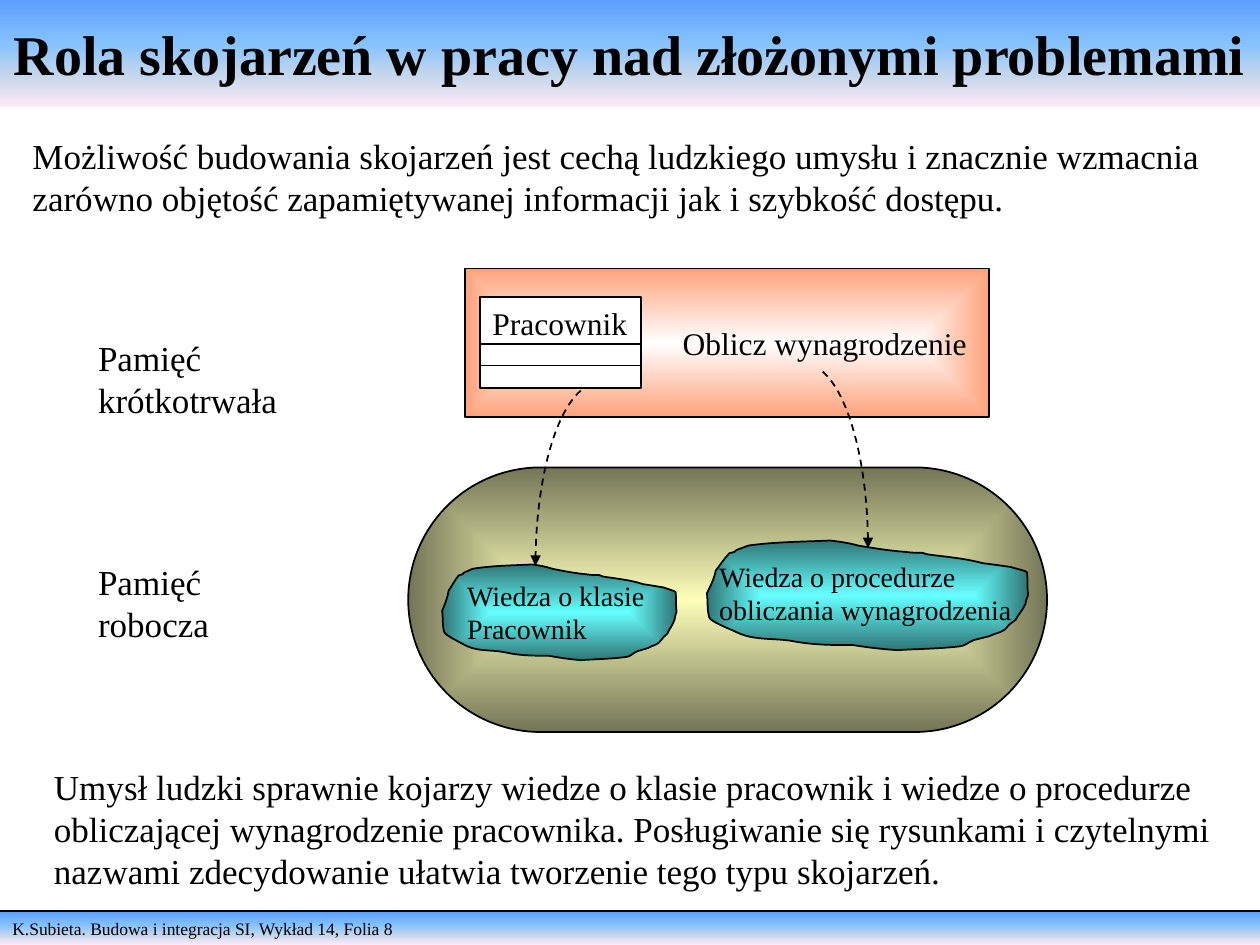
import pptx
import pptx.util
import pptx.dml.color
import pptx.enum.dml
import pptx.enum.shapes
import pptx.enum.text
import pptx.oxml.ns
from lxml import etree

Inches = pptx.util.Inches
qn = pptx.oxml.ns.qn
SHAPE = pptx.enum.shapes.MSO_SHAPE

COLORS = {
    "ink": "000000", "white": "FFFFFF",
    "sky": "5E9EFF", "light_sky": "85C2FF", "mist": "C4D6EB", "pink": "FFEBFA",
    "salmon": "FFA27C", "cream": "FCFEB9", "olive": "747556",
    "cyan": "66FFFF", "teal": "2F7676",
}
BAND = [(0, "sky"), (40, "light_sky"), (70, "mist"), (100, "pink")]

# Cloud outline: start point, then three points for each Bezier segment
CLOUD_SIZE = (2.55, 0.87)
CLOUD = [
    (0.98, 0), (0.76, 0.01), (0.55, 0.01), (0.33, 0.04), (0.3, 0.05), (0.28, 0.06), (0.25, 0.07),
    (0.24, 0.07), (0.23, 0.08), (0.22, 0.09), (0.21, 0.09), (0.2, 0.1), (0.18, 0.1),
    (0.14, 0.14), (0.11, 0.19), (0.07, 0.24), (0.06, 0.3), (0.03, 0.36), (0, 0.42),
    (0.01, 0.48), (0, 0.55), (0.02, 0.61), (0.02, 0.64), (0.2, 0.71), (0.22, 0.72),
    (0.37, 0.8), (0.53, 0.77), (0.69, 0.8), (0.85, 0.83), (1, 0.83), (1.16, 0.83),
    (1.29, 0.85), (1.37, 0.86), (1.51, 0.87), (1.68, 0.86), (1.84, 0.86), (2.01, 0.84),
    (2.04, 0.84), (2.09, 0.8), (2.12, 0.79), (2.16, 0.78), (2.2, 0.77), (2.24, 0.76),
    (2.26, 0.75), (2.29, 0.74), (2.29, 0.74), (2.31, 0.73), (2.34, 0.73), (2.36, 0.71),
    (2.38, 0.7), (2.39, 0.67), (2.41, 0.66), (2.42, 0.65), (2.44, 0.64), (2.45, 0.63),
    (2.47, 0.59), (2.51, 0.55), (2.53, 0.5), (2.53, 0.48), (2.55, 0.43), (2.55, 0.43),
    (2.54, 0.37), (2.55, 0.31), (2.54, 0.25), (2.53, 0.24), (2.44, 0.22), (2.41, 0.21),
    (2.34, 0.2), (2.27, 0.19), (2.19, 0.18), (2.04, 0.14), (1.9, 0.13), (1.75, 0.11),
    (1.66, 0.08), (1.74, 0.11), (1.57, 0.09), (1.44, 0.08), (1.32, 0.06), (1.2, 0.04),
    (1.13, 0.02), (1.06, 0.01), (0.98, 0),
]


def rgb(name):
    return pptx.dml.color.RGBColor.from_string(COLORS[name])


class SlideBuilder:
    font = "Times New Roman"

    def __init__(self, slide):
        self.slide = slide
        self.shapes = slide.shapes

    def group(self):
        """Send the next elements to a new group."""
        self.shapes = self.slide.shapes.add_group_shape().shapes

    def ungroup(self):
        self.shapes = self.slide.shapes

    def label(self, sp, text, size, wrap=True, bold=False, middle=False):
        tf = sp.text_frame
        tf.text = text
        tf.word_wrap = wrap
        tf.auto_size = pptx.enum.text.MSO_AUTO_SIZE.NONE
        anchor = pptx.enum.text.MSO_ANCHOR
        tf.vertical_anchor = anchor.MIDDLE if middle else anchor.TOP
        align = pptx.enum.text.PP_ALIGN
        for p in tf.paragraphs:
            p.alignment = align.CENTER if middle else align.LEFT
            for r in p.runs:
                r.font.name = self.font
                r.font.size = pptx.util.Pt(size)
                r.font.bold = bold
                r.font.color.rgb = rgb("ink")

    def outline(self, line):
        line.color.rgb = rgb("ink")
        line.width = pptx.util.Pt(1)

    def gradient(self, sp, stops, shade=None):
        """Fill top to bottom, or from the centre with the given shade."""
        sp.fill.gradient()
        grad = sp._element.spPr.find(qn("a:gradFill"))
        for child in list(grad):
            grad.remove(child)
        stop_list = etree.SubElement(grad, qn("a:gsLst"))
        for pos, name in stops:
            gs = etree.SubElement(stop_list, qn("a:gs"), pos=str(pos * 1000))
            etree.SubElement(gs, qn("a:srgbClr"), val=COLORS[name])
        if shade:
            node = etree.SubElement(grad, qn("a:path"), {"path": shade})
            etree.SubElement(node, qn("a:fillToRect"), dict.fromkeys("ltrb", "50000"))
        else:
            etree.SubElement(grad, qn("a:lin"), ang="5400000", scaled="1")

    def title(self, text, x, y, w, h):
        sp = self.slide.shapes.title
        sp.left, sp.top, sp.width, sp.height = map(Inches, (x, y, w, h))
        self.gradient(sp, BAND)
        self.label(sp, text, 32, bold=True, middle=True)

    def text(self, text, x, y, w, h, size=20, wrap=True):
        sp = self.shapes.add_textbox(*map(Inches, (x, y, w, h)))
        self.label(sp, text, size, wrap)

    def box(self, x, y, w, h, stops=None, shade=None, kind=SHAPE.RECTANGLE, line=True):
        sp = self.shapes.add_shape(kind, *map(Inches, (x, y, w, h)))
        sp.shadow.inherit = False
        if stops:
            self.gradient(sp, stops, shade)
        else:
            sp.fill.solid()
            sp.fill.fore_color.rgb = rgb("white")
        if line:
            self.outline(sp.line)
        else:
            sp.line.fill.background()
        return sp

    def rule(self, x1, x2, y):
        c = self.shapes.add_connector(
            pptx.enum.shapes.MSO_CONNECTOR.STRAIGHT, *map(Inches, (x1, y, x2, y)))
        self.outline(c.line)
        etree.SubElement(c._element.spPr, qn("a:effectLst"))

    def curve(self, points, close):
        """Freeform whose points after the first are Bezier triples."""
        pts = [(Inches(x), Inches(y)) for x, y in points]
        fb = self.shapes.build_freeform(*pts[0])
        fb.add_line_segments(pts[1:], close=close)
        sp = fb.convert_to_shape()
        sp.shadow.inherit = False
        self.outline(sp.line)
        segments = list(sp._element.iter(qn("a:lnTo")))
        for i in range(0, len(segments) - 2, 3):
            bezier = etree.Element(qn("a:cubicBezTo"))
            segments[i].addprevious(bezier)
            for seg in segments[i:i + 3]:
                bezier.append(seg[0])
                seg.getparent().remove(seg)
        return sp

    def cloud(self, x, y, w, h):
        kx, ky = w / CLOUD_SIZE[0], h / CLOUD_SIZE[1]
        sp = self.curve([(x + px * kx, y + py * ky) for px, py in CLOUD], close=True)
        self.gradient(sp, [(0, "cyan"), (100, "teal")], "rect")

    def arc_arrow(self, x1, y1, x2, y2):
        dx, dy = x2 - x1, y2 - y1
        points = [(x1, y1), (x1 + 0.58 * dx, y1 + 0.13 * dy), (x2, y1 + 0.54 * dy), (x2, y2)]
        sp = self.curve(points, close=False)
        sp.fill.background()
        sp.line.dash_style = pptx.enum.dml.MSO_LINE.DASH
        ln = sp._element.spPr.find(qn("a:ln"))
        etree.SubElement(ln, qn("a:tailEnd"), type="triangle")


def main():
    prs = pptx.Presentation()
    prs.slide_width, prs.slide_height = Inches(10), Inches(7.5)
    s = SlideBuilder(prs.slides.add_slide(prs.slide_layouts[5]))

    # Footer band and title
    footer = s.box(0, 7.24, 10, 0.26, BAND, line=False)
    s.label(footer, "K.Subieta. Budowa i integracja SI, Wykład 14, Folia 8", 10)
    s.rule(0, 10, 7.23)
    s.title("Rola skojarzeń w pracy nad złożonymi problemami", 0, 0, 10, 0.85)

    # Introduction
    s.text("Możliwość budowania skojarzeń jest cechą ludzkiego umysłu i znacznie wzmacnia "
           "zarówno objętość zapamiętywanej informacji jak i szybkość dostępu.",
           0.16, 1.02, 9.84, 0.77)

    # Short-term memory
    s.text("Pamięć krótkotrwała", 0.68, 2.62, 2.4, 0.43)
    s.group()
    s.box(3.69, 2.13, 4.16, 1.18, [(0, "white"), (100, "salmon")], "shape")
    s.label(s.box(3.81, 2.36, 1.28, 0.72), "Pracownik", 18, wrap=False)
    for y in (2.73, 2.9):
        s.rule(3.81, 5.09, y)
    s.text("Oblicz wynagrodzenie", 5.32, 2.52, 2.46, 0.4, 18, wrap=False)
    s.ungroup()

    # Working memory
    s.text("Pamięć robocza", 0.68, 4.4, 1.9, 0.43)
    s.group()
    store = s.box(3.24, 3.71, 5.07, 2.1, [(0, "cream"), (100, "olive")], "shape",
                  SHAPE.ROUNDED_RECTANGLE)
    store.adjustments[0] = 0.5
    s.cloud(3.51, 4.48, 1.86, 0.76)
    s.text("Wiedza o klasie\nPracownik", 3.61, 4.54, 1.62, 0.64, 16)
    s.cloud(5.61, 4.29, 2.55, 0.87)
    s.text("Wiedza o procedurze\nobliczania wynagrodzenia", 5.61, 4.39, 2.53, 0.64, 16, wrap=False)
    s.ungroup()

    # Associations
    s.arc_arrow(4.61, 3.1, 4.25, 4.49)
    s.arc_arrow(6.53, 2.95, 6.89, 4.35)

    # Conclusion
    s.text("Umysł ludzki sprawnie kojarzy wiedze o klasie pracownik i wiedze o procedurze "
           "obliczającej wynagrodzenie pracownika. Posługiwanie się rysunkami i czytelnymi "
           "nazwami zdecydowanie ułatwia tworzenie tego typu skojarzeń.",
           0.33, 6.03, 9.67, 1.1)

    prs.save("out.pptx")


if __name__ == "__main__":
    main()
